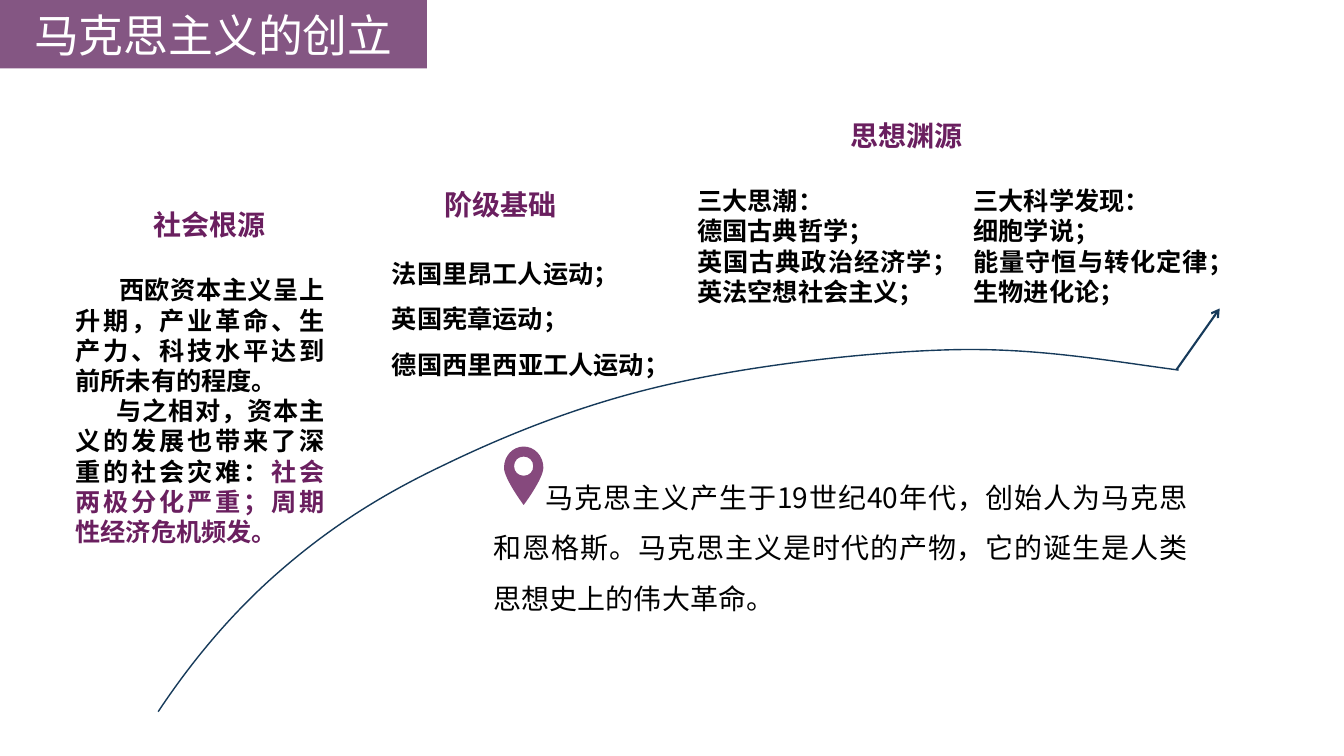
from dataclasses import dataclass

from lxml import etree
from pptx import Presentation
from pptx.dml.color import RGBColor
from pptx.enum.shapes import MSO_CONNECTOR
from pptx.enum.text import MSO_ANCHOR, MSO_AUTO_SIZE, PP_ALIGN
from pptx.oxml.ns import qn
from pptx.util import Inches, Pt

LEFT, MID, JUST = PP_ALIGN.LEFT, PP_ALIGN.CENTER, PP_ALIGN.JUSTIFY
LINE = MSO_CONNECTOR.STRAIGHT
TOP, MIDDLE = MSO_ANCHOR.TOP, MSO_ANCHOR.MIDDLE
FIT, FIXED = MSO_AUTO_SIZE.SHAPE_TO_FIT_TEXT, MSO_AUTO_SIZE.NONE


@dataclass(frozen=True)
class Theme:
    font: str = "Noto Sans CJK SC"
    ink: str = "000000"
    white: str = "FFFFFF"
    plum: str = "6A1F5F"
    banner: str = "5A1B58"
    navy: str = "163A5A"
    title: int = 32
    head: int = 20
    body: int = 18


T = Theme()

# The grid has ten columns and ten rows to the inch.
COLS, ROWS = 133.33, 75
CELL = Inches(0.1)

TITLE = "马克思主义的创立"
BANNER = (0, 0, 42.35, 6.8)

# place, heading
HEADS = [
    ((14.25, 20.1, 13.8, 4.4), "社会根源"),
    ((43.1, 18.1, 13.8, 4.4), "阶级基础"),
    ((83.4, 11.3, 13.8, 4.4), "思想渊源"),
]

# paragraphs of (first-line indent, runs of (text, colour))
SOCIAL = [
    (4.35, [("西欧资本主义呈上升期，产业革命、生产力、科技水平达到前所未有的程度。", T.ink)]),
    (4.1, [("与之相对，资本主义的发展也带来了深重的社会灾难：", T.ink),
           ("社会两极分化严重；周期性经济危机频发。", T.plum)]),
]
CLASS = ["法国里昂工人运动；", "英国宪章运动；", "德国西里西亚工人运动；"]
THOUGHT = ["三大思潮：", "德国古典哲学；", "英国古典政治经济学；", "英法空想社会主义；"]
SCIENCE = ["三大科学发现：", "细胞学说；", "能量守恒与转化定律；", "生物进化论；"]
SUMMARY = ("马克思主义产生于19世纪40年代，创始人为马克思和恩格斯。"
           "马克思主义是时代的产物，它的诞生是人类思想史上的伟大革命。")


def plain(lines):
    return [(0, [(line, T.ink)]) for line in lines]


# place, line spacing, paragraphs
BODIES = [
    ((6.5, 26.75, 26.7, 28.3), 1, SOCIAL),
    ((37.9, 23.65, 27, 14.6), 1.5, plain(CLASS)),
    ((68.2, 17.9, 25.3, 13.1), 1, plain(THOUGHT)),
    ((95.6, 17.9, 25.3, 13.1), 1, plain(SCIENCE)),
]
NOTE = (48, 45.5, 70.8, 16.2)

# Bezier chains: a start point, then three points for each piece
TILT = 351.3
ARC = [(13.2, 62.8),
       (17.25, 58.35), (21.92, 54.2), (27.19, 50.87),
       (32.45, 47.53), (37.9, 45.01), (44.79, 42.94),
       (51.59, 40.83), (59.67, 38.94), (68.36, 38.35),
       (76.96, 37.74), (88.22, 38.15), (96.55, 39.22),
       (104.88, 40.29), (111.71, 42.66), (118.4, 44.6)]
TIP = (116.7, 36.7, 121, 30.6)
DROP = [(51.95, 44.3),
        (50.9, 44.3), (50, 45.2), (50, 46.4),
        (50, 47.5), (51.95, 50.1), (51.95, 50.1),
        (51.95, 50.1), (53.9, 47.5), (53.9, 46.4),
        (53.9, 45.2), (53, 44.3), (51.95, 44.3)]
HOLE = [(51, 46.25),
        (51, 45.7), (51.4, 45.3), (51.95, 45.3),
        (52.5, 45.3), (52.9, 45.7), (52.9, 46.25),
        (52.9, 46.8), (52.5, 47.2), (51.95, 47.2),
        (51.4, 47.2), (51, 46.8), (51, 46.25)]


def grid(vals):
    return [round(v * CELL) for v in vals]


def rgb(code):
    return RGBColor.from_string(code)


def outline(shapes, chains, close):
    """Draw Bezier chains as one shape with true curves."""
    paths = [[grid(p) for p in chain] for chain in chains]
    pen = shapes.build_freeform(*paths[0][0])
    for i, pts in enumerate(paths):
        if i:
            pen.move_to(*pts[0])
        pen.add_line_segments(pts[1:], close=close)
    shape = pen.convert_to_shape()
    shape.shadow.inherit = False
    # Each three line steps become the points of one curve.
    steps = list(shape._element.iter(qn("a:lnTo")))
    for i in range(0, len(steps), 3):
        curve = etree.Element(qn("a:cubicBezTo"))
        steps[i].addprevious(curve)
        for step in steps[i:i + 3]:
            curve.append(step[0])
            step.getparent().remove(step)
    return shape


def paint(shape, color, alpha):
    """Fill a shape with a part-clear colour and hide its line."""
    shape.fill.solid()
    shape.fill.fore_color.rgb = rgb(color)
    tone = shape.fill._xPr.find(".//" + qn("a:srgbClr"))
    etree.SubElement(tone, qn("a:alpha"), val=str(alpha * 1000))
    shape.line.fill.background()


def write(para, text, size, color, bold=False):
    run = para.add_run()
    run.text = text
    font = run.font
    font.size, font.bold, font.name = Pt(size), bold, T.font
    font.color.rgb = rgb(color)
    etree.SubElement(font._element, qn("a:ea"), typeface=T.font)


def set_box(shape, place, fit, anchor=TOP):
    shape.left, shape.top, shape.width, shape.height = grid(place)
    frame = shape.text_frame
    frame.word_wrap, frame.auto_size = True, fit
    frame.vertical_anchor = anchor
    return frame


def add_text(shapes, place, paras, size, bold, align, space=1):
    frame = set_box(shapes.add_textbox(0, 0, 0, 0), place, FIT)
    for i, (indent, runs) in enumerate(paras):
        para = frame.add_paragraph() if i else frame.paragraphs[0]
        para.alignment, para.line_spacing = align, space
        if indent:
            para._p.get_or_add_pPr().set("indent", str(round(indent * CELL)))
        for text, color in runs:
            write(para, text, size, color, bold)


def add_title(title):
    """Turn the title placeholder into the arrow-ended banner."""
    frame = set_box(title, BANNER, FIXED, MIDDLE)
    geom = etree.SubElement(title._element.spPr, qn("a:prstGeom"), prst="homePlate")
    etree.SubElement(geom, qn("a:avLst"))
    paint(title, T.banner, 74)
    para = frame.paragraphs[0]
    para.alignment = MID
    write(para, TITLE, T.title, T.white)


def add_path(shapes):
    arc = outline(shapes, [ARC], False)
    arc.fill.background()
    arc.rotation = TILT
    tip = shapes.add_connector(LINE, *grid(TIP))
    for shape, weight in ((arc, 1), (tip, 1.5)):
        shape.line.color.rgb = rgb(T.navy)
        shape.line.width = Pt(weight)
    etree.SubElement(tip.line._get_or_add_ln(), qn("a:tailEnd"), type="arrow")
    etree.SubElement(tip._element.spPr, qn("a:effectLst"))


def main():
    deck = Presentation()
    deck.slide_width, deck.slide_height = grid((COLS, ROWS))
    slide = deck.slides.add_slide(deck.slide_layouts[5])
    shapes = slide.shapes
    add_title(shapes.title)
    add_path(shapes)
    for place, space, paras in BODIES:
        add_text(shapes, place, paras, T.body, True, JUST, space)
    add_text(shapes, NOTE, [(5.15, [(SUMMARY, T.ink)])], T.head, False, JUST, 1.5)
    paint(outline(shapes, [DROP, HOLE], True), T.plum, 81)
    for place, text in HEADS:
        add_text(shapes, place, [(0, [(text, T.plum)])], T.head, True, LEFT)
    deck.save("out.pptx")


if __name__ == "__main__":
    main()
